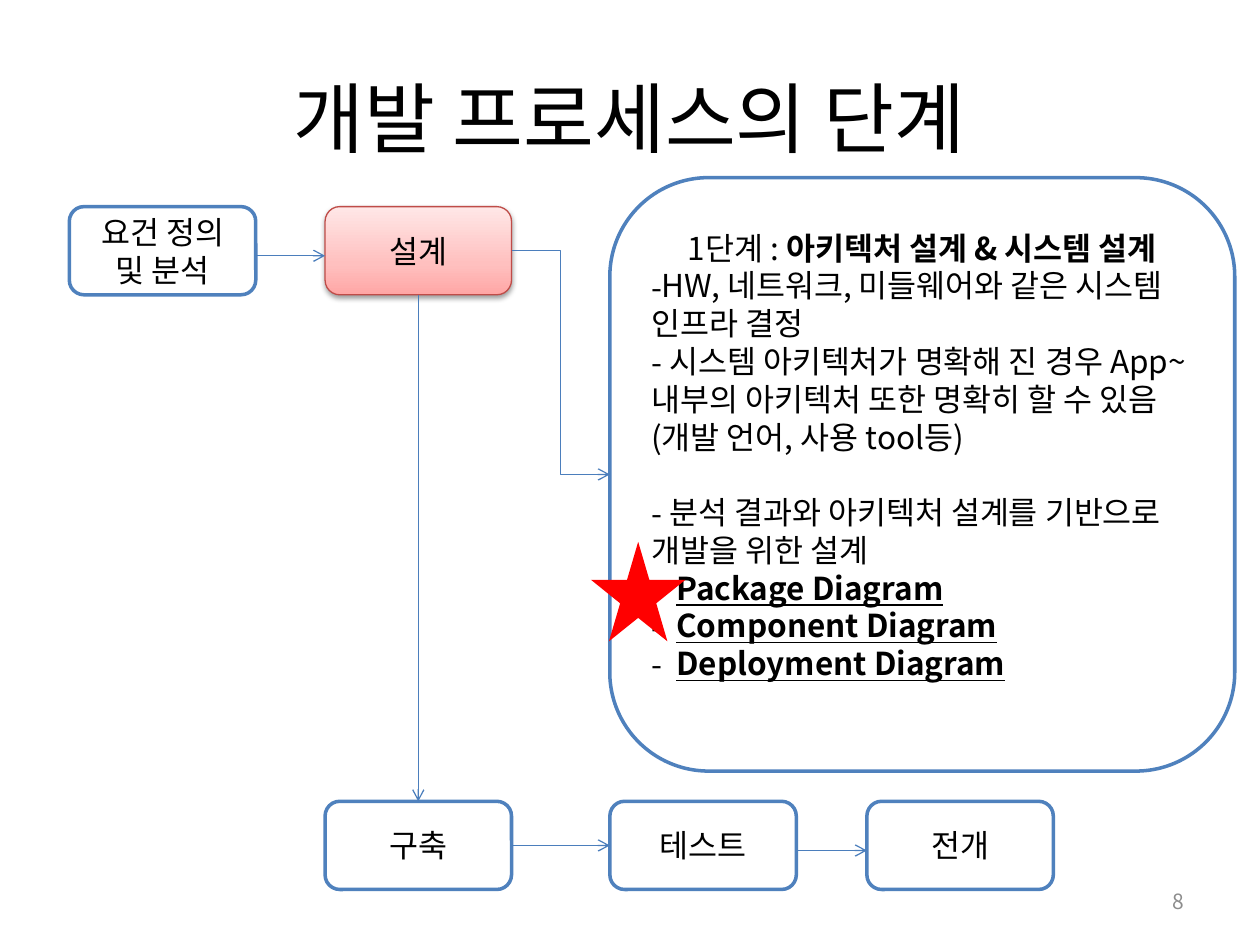
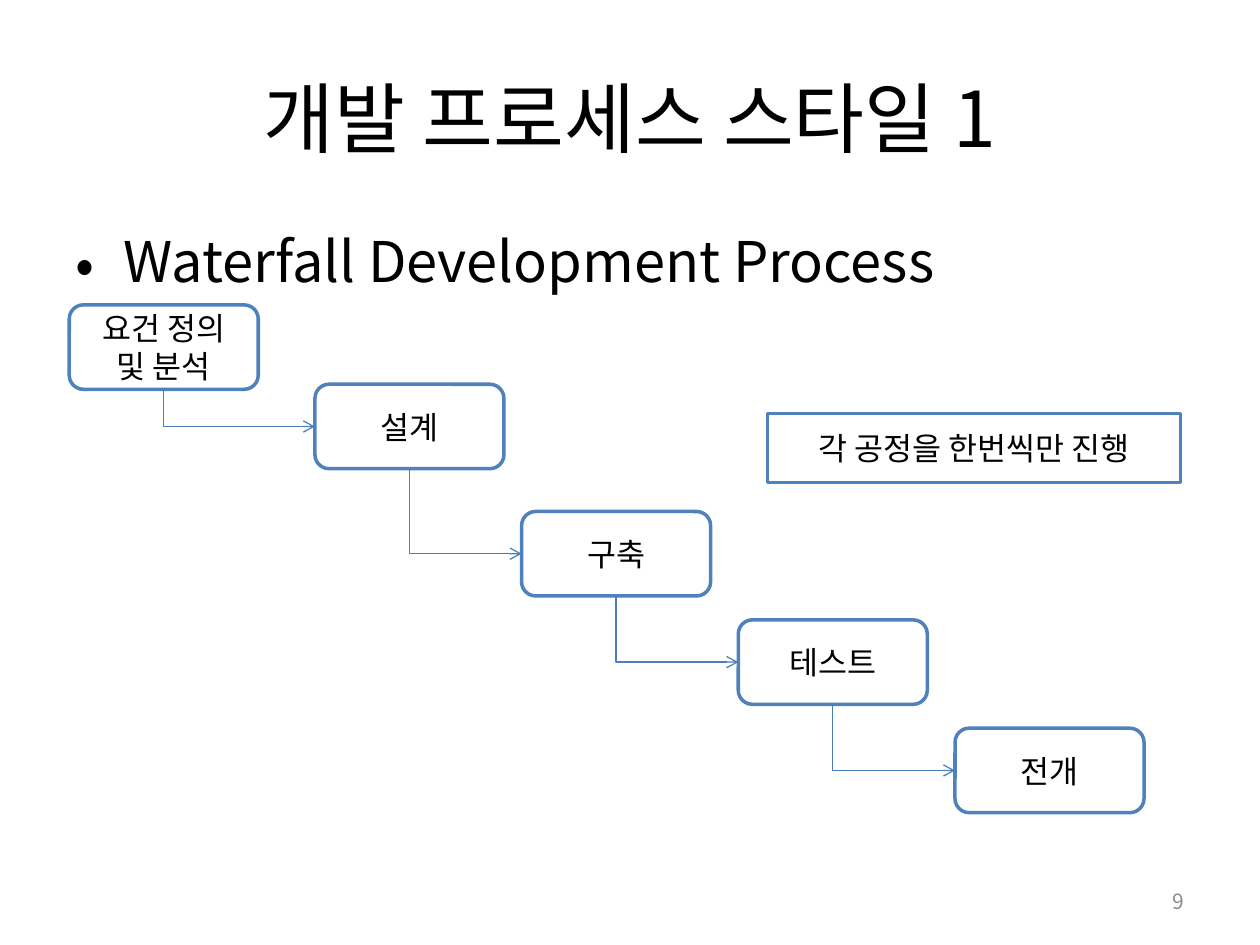
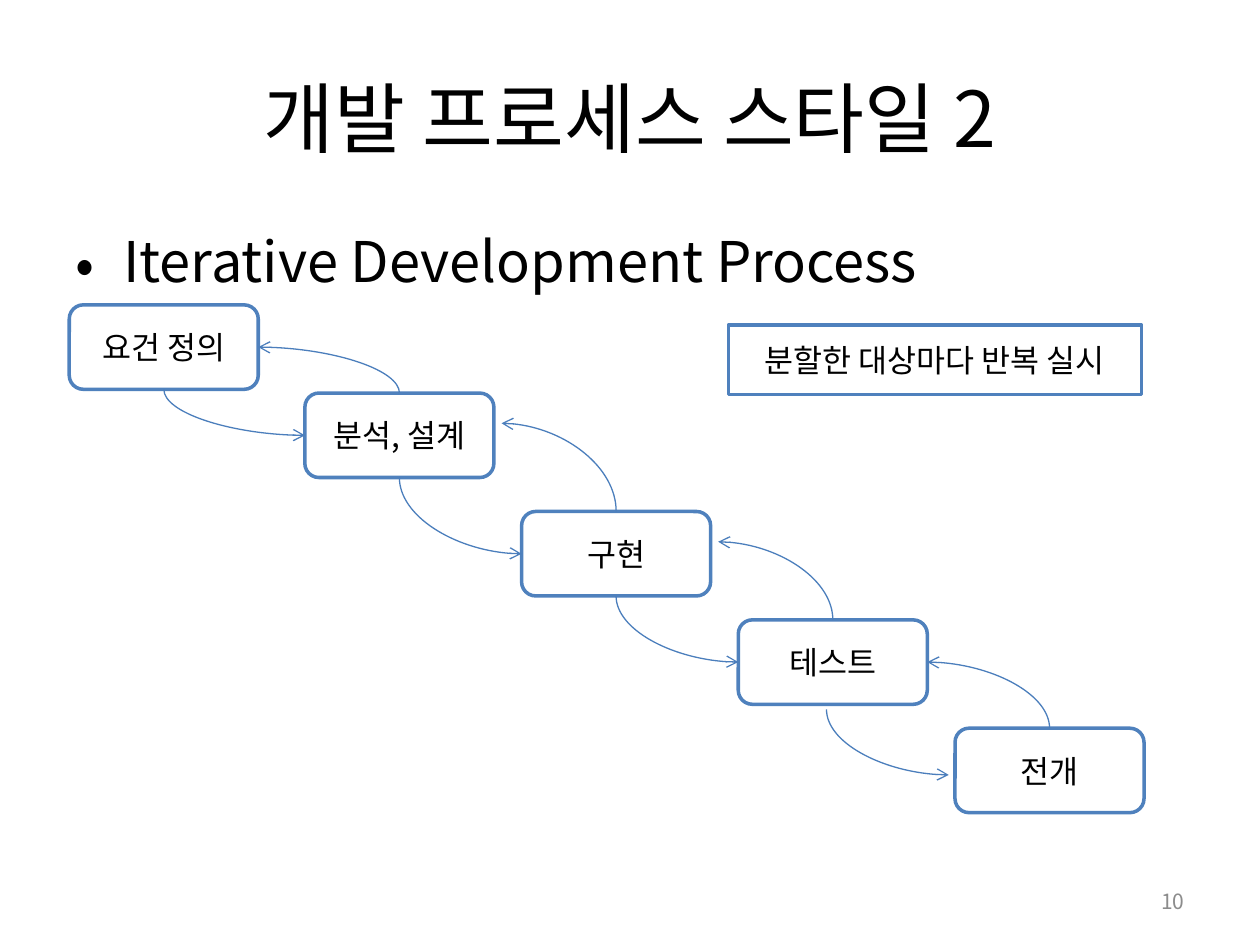
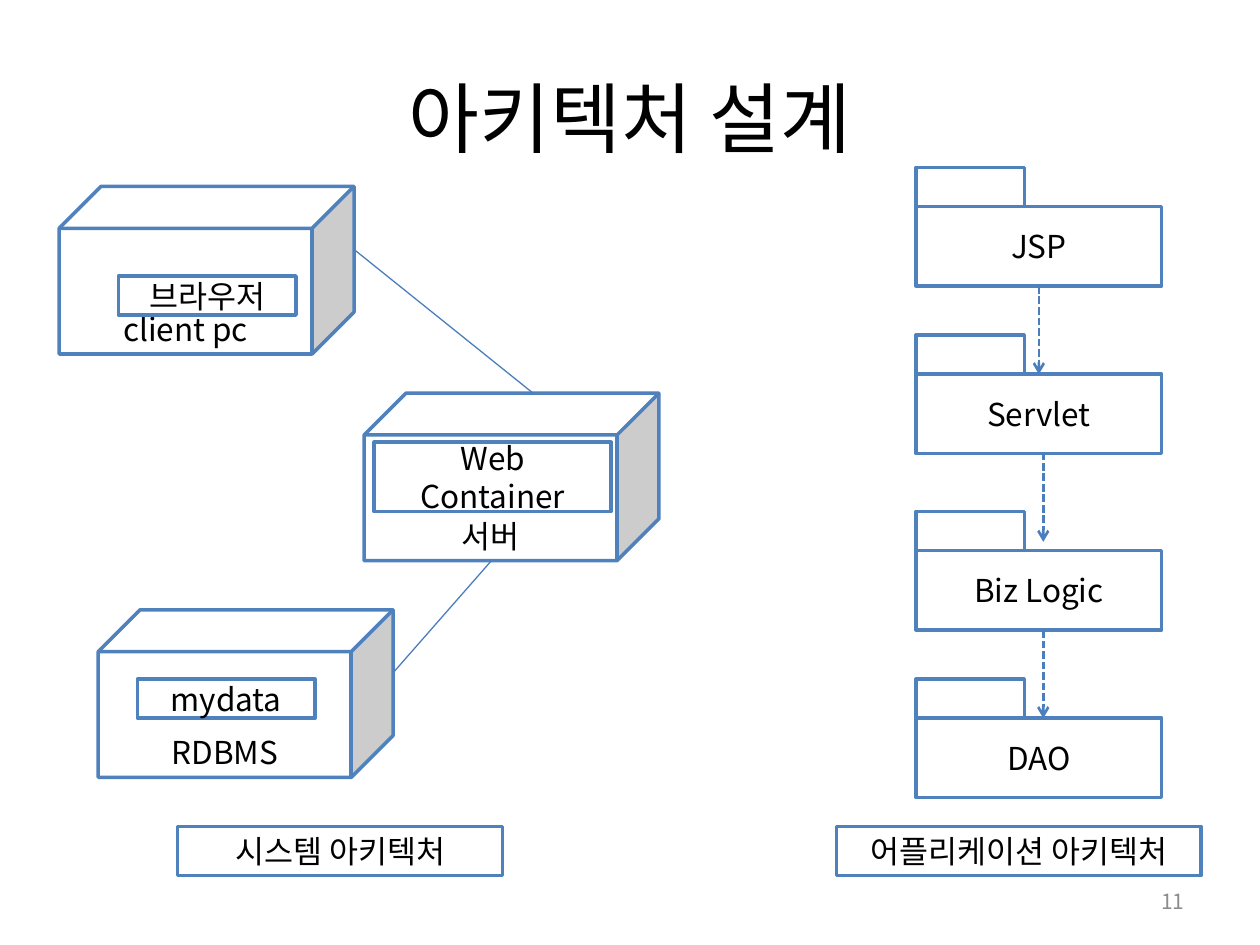
import pptx
import pptx.util
import pptx.dml.color
import pptx.enum.dml
import pptx.enum.shapes
import pptx.enum.text
import pptx.oxml.ns
from lxml import etree

Inches = pptx.util.Inches
Pt = pptx.util.Pt
qn = pptx.oxml.ns.qn
SHAPE = pptx.enum.shapes.MSO_SHAPE
CONNECTOR = pptx.enum.shapes.MSO_CONNECTOR
ALIGN = pptx.enum.text.PP_ALIGN
ANCHOR = pptx.enum.text.MSO_ANCHOR
TOP, LEFT, BOTTOM, RIGHT = range(4)

# Shared look
FONT = "Noto Sans CJK KR"
COLORS = {"text": "000000", "number": "8C8C8C", "box": "FFFFFF", "border": "4F81BD",
          "arrow": "4B7EBC", "star": "FF0000", "active": "BF4C48", "shadow": "000000"}
ACTIVE_GRADIENT = [(0, "FFA6A5"), (35, "FFC0BF"), (100, "FFE7E7")]
TITLE_BOX = (0.5, 0.3, 9, 1.25)
BODY_BOX = (0.5, 1.75, 9, 4.95)
NUMBER_BOX = (7.17, 6.95, 2.33, 0.4)
FIRST_NUMBER = 8

# Slide 1: phases of the process
PHASE_SIZE = (1.48, 0.7)
PHASES = [
    ("요건 정의 및 분석", 0.55, 1.64),
    ("설계", 2.58, 1.64),
    ("구축", 2.58, 6.36),
    ("테스트", 4.84, 6.36),
    ("전개", 6.88, 6.36),
]
PANEL_BOX = (4.84, 1.41, 4.96, 4.71)
STAR_BOX = (4.69, 4.3, 0.75, 0.79)
PANEL_HEADING = ("1단계 : ", "아키텍처 설계 & 시스템 설계")
PANEL_POINTS = [  # text, space before in points
    ("HW, 네트워크, 미들웨어와 같은 시스템 인프라 결정", 0),
    (" 시스템 아키텍처가 명확해 진 경우 App~ 내부의 아키텍처 또한 명확히 할 수 "
     "있음(개발 언어, 사용 tool등)", 0),
    (" 분석 결과와 아키텍처 설계를 기반으로 개발을 위한 설계", 21.5),
]
PANEL_DIAGRAMS = ["Package Diagram", "Component Diagram", "Deployment Diagram"]

# Slides 2 and 3: process styles
STEP_SIZE = (1.5, 0.67)
NOTE_SIZE = (3.28, 0.55)
WATERFALL = {
    "title": "개발 프로세스 스타일 1",
    "body": "Waterfall Development Process",
    "steps": [("요건 정의 및 분석", 0.55, 2.42), ("설계", 2.5, 3.05), ("구축", 4.14, 4.06),
              ("테스트", 5.86, 4.92), ("전개", 7.58, 5.78)],
    "note": ("각 공정을 한번씩만 진행", 6.09, 3.28),
}
ITERATIVE = {
    "title": "개발 프로세스 스타일 2",
    "body": "Iterative Development Process",
    "steps": [("요건 정의", 0.55, 2.42), ("분석, 설계", 2.42, 3.12), ("구현", 4.14, 4.06),
              ("테스트", 5.86, 4.92), ("전개", 7.58, 5.78)],
    "note": ("분할한 대상마다 반복 실시", 5.78, 2.58),
}
# Ends of curves that stop short of a box, by step index
LOOSE_FORWARD = {3: ((6.56, 5.63), (7.53, 6.15))}
LOOSE_BACK = {1: (3.98, 3.36), 2: (5.7, 4.3)}

# Slide 4: architecture
NODE_SIZE = (2.34, 1.33)
NODES = [  # label, left, top, component, component box
    ("client pc", 0.47, 1.48, "브라우저", (0.94, 2.19, 1.41, 0.31)),
    ("서버", 2.89, 3.12, "Web Container", (2.97, 3.51, 1.88, 0.55)),
    ("RDBMS", 0.78, 4.84, "mydata", (1.09, 5.39, 1.41, 0.31)),
]
NODE_LINKS = [((2.81, 1.98), (4.23, 3.12)), ((3.9, 4.45), (3.12, 5.34))]
PACKAGE_LEFT = 7.27
PACKAGE_SIZE = (1.95, 0.63)
TAB_SIZE = (0.86, 0.31)
PACKAGES = [("JSP", 1.33), ("Servlet", 2.66), ("Biz Logic", 4.06), ("DAO", 5.39)]
LOOSE_CALLS = [((8.28, 3.59), (8.28, 4.3)), ((8.28, 5), (8.28, 5.7))]
CAPTIONS = [("시스템 아키텍처", (1.41, 6.56, 2.58, 0.39)),
            ("어플리케이션 아키텍처", (6.64, 6.56, 2.89, 0.39))]


# Drawing helpers
def rgb(name):
    return pptx.dml.color.RGBColor.from_string(COLORS[name])


def add_xml(parent, tag, **attributes):
    return etree.SubElement(parent, qn(tag), {key: str(value) for key, value in attributes.items()})


def write(shape, text, size=18, color="text", bold=False, underline=False, align=ALIGN.CENTER,
          anchor=ANCHOR.MIDDLE, bullet=None, indent=0, before=0, before_percent=0,
          same_line=False):
    """Add a paragraph, or with same_line a further run, to the shape's text."""
    frame = shape.text_frame
    frame.word_wrap = True
    frame.vertical_anchor = anchor
    paragraph = frame.paragraphs[-1]
    if paragraph.runs and not same_line:
        paragraph = frame.add_paragraph()
    if not same_line:
        paragraph.alignment = align
        properties = paragraph._p.get_or_add_pPr()
        if before:
            paragraph.space_before = Pt(before)
        if before_percent:
            add_xml(add_xml(properties, "a:spcBef"), "a:spcPct", val=before_percent * 1000)
        if bullet:
            properties.set("marL", str(Inches(indent)))
            properties.set("indent", str(-Inches(indent)))
            add_xml(properties, "a:buFont", typeface=FONT)
            add_xml(properties, "a:buChar", char=bullet)
    run = paragraph.add_run()
    run.text = text
    run.font.size = Pt(size)
    run.font.bold = bold
    run.font.underline = underline
    run.font.color.rgb = rgb(color)
    run.font.name = FONT
    add_xml(run._r.get_or_add_rPr(), "a:ea", typeface=FONT)


def add_text(slide, box, text, **text_format):
    write(slide.shapes.add_textbox(*map(Inches, box)), text, **text_format)


def add_box(slide, kind, box, text=None, fill="box", line="border", width=2, **text_format):
    shape = slide.shapes.add_shape(kind, *map(Inches, box))
    shape.shadow.inherit = False
    shape.fill.solid()
    shape.fill.fore_color.rgb = rgb(fill)
    if line:
        shape.line.color.rgb = rgb(line)
        shape.line.width = Pt(width)
    else:
        shape.line.fill.background()
    if text:
        write(shape, text, **text_format)
    return shape


def add_boxes(slide, items, size):
    return [add_box(slide, SHAPE.ROUNDED_RECTANGLE, (left, top, *size), text)
            for text, left, top in items]


def highlight(shape):
    """Give the current phase its gradient and shadow."""
    shape.fill.gradient()
    shape.fill.gradient_angle = 90
    properties = shape._element.spPr
    stops = properties.find(qn("a:gradFill")).find(qn("a:gsLst"))
    for stop in list(stops):
        stops.remove(stop)
    for position, color in ACTIVE_GRADIENT:
        add_xml(add_xml(stops, "a:gs", pos=position * 1000), "a:srgbClr", val=color)
    shadow = add_xml(properties.find(qn("a:effectLst")), "a:outerShdw", blurRad=Pt(3.1),
                     dist=Pt(1.6), dir=5400000, rotWithShape=0)
    add_xml(add_xml(shadow, "a:srgbClr", val=COLORS["shadow"]), "a:alpha", val=38000)


def locate(end):
    """Position of an end, given as (x, y) in inches or as (shape, side)."""
    if isinstance(end[0], (int, float)):
        return Inches(end[0]), Inches(end[1])
    shape, side = end
    across = {LEFT: 0, RIGHT: 2}.get(side, 1)
    down = {TOP: 0, BOTTOM: 2}.get(side, 1)
    return shape.left + shape.width * across // 2, shape.top + shape.height * down // 2


def connect(slide, start, end, kind=CONNECTOR.STRAIGHT, arrow=True, width=0.75, dash=None):
    connector = slide.shapes.add_connector(kind, *locate(start), *locate(end))
    for target, join in ((start, connector.begin_connect), (end, connector.end_connect)):
        if not isinstance(target[0], (int, float)):
            join(*target)
    connector.line.color.rgb = rgb("arrow")
    connector.line.width = Pt(width)
    if dash:
        connector.line.dash_style = dash
    if arrow:
        add_xml(connector.line._get_or_add_ln(), "a:tailEnd", type="arrow")
    add_xml(connector._element.spPr, "a:effectLst")
    return connector


def connect_corner(slide, start, end, kind, preset):
    """A connector with one corner that leaves vertically and arrives horizontally."""
    connector = connect(slide, start, end, kind)
    (start_x, start_y), (end_x, end_y) = locate(start), locate(end)
    width, height = abs(end_y - start_y), abs(end_x - start_x)
    connector.left = (start_x + end_x - width) // 2
    connector.top = (start_y + end_y - height) // 2
    connector.width, connector.height = width, height
    properties = connector._element.spPr
    properties.find(qn("a:prstGeom")).set("prst", preset)
    frame = properties.find(qn("a:xfrm"))
    frame.set("rot", "16200000")
    downward = end_y > start_y
    frame.set("flipH", str(int(downward)))
    frame.set("flipV", str(int(not downward)))


# Slides
def add_slide(presentation, title):
    slide = presentation.slides.add_slide(presentation.slide_layouts[6])
    add_text(slide, TITLE_BOX, title, size=44)
    number = FIRST_NUMBER + len(presentation.slides) - 1
    add_text(slide, NUMBER_BOX, str(number), size=12, color="number", align=ALIGN.RIGHT)
    return slide


def add_phases_slide(presentation):
    slide = add_slide(presentation, "개발 프로세스의 단계")
    analysis, design, build, test, rollout = add_boxes(slide, PHASES, PHASE_SIZE)
    highlight(design)
    design.line.color.rgb = rgb("active")
    design.line.width = Pt(0.75)

    connect(slide, (2.03, 2.03), (2.58, 2.03))
    connect(slide, (build, RIGHT), (test, LEFT))
    connect(slide, (6.33, 6.75), (6.88, 6.75))
    connect(slide, (design, BOTTOM), (build, TOP))

    panel = add_box(slide, SHAPE.ROUNDED_RECTANGLE, PANEL_BOX, PANEL_HEADING[0])
    panel.text_frame.margin_bottom = Inches(0.35)
    write(panel, PANEL_HEADING[1], bold=True, same_line=True)
    for text, before in PANEL_POINTS:
        write(panel, text, align=ALIGN.LEFT, bullet="-", before=before)
    for text in PANEL_DIAGRAMS:
        write(panel, text, align=ALIGN.LEFT, bullet="-", indent=0.2, bold=True, underline=True)
    connect(slide, (design, RIGHT), (panel, LEFT), CONNECTOR.ELBOW)
    add_box(slide, SHAPE.STAR_5_POINT, STAR_BOX, fill="star", line=None)


def add_style_slide(presentation, content):
    slide = add_slide(presentation, content["title"])
    add_text(slide, BODY_BOX, content["body"], size=32, align=ALIGN.LEFT, anchor=ANCHOR.TOP,
             bullet="•", indent=0.38, before_percent=20)
    steps = add_boxes(slide, content["steps"], STEP_SIZE)
    note, left, top = content["note"]
    add_box(slide, SHAPE.RECTANGLE, (left, top, *NOTE_SIZE), note)
    return slide, steps


def add_waterfall_slide(presentation):
    slide, steps = add_style_slide(presentation, WATERFALL)
    for step, following in zip(steps, steps[1:]):
        connect_corner(slide, (step, BOTTOM), (following, LEFT),
                       CONNECTOR.ELBOW, "bentConnector2")


def add_iterative_slide(presentation):
    slide, steps = add_style_slide(presentation, ITERATIVE)
    for index, (step, following) in enumerate(zip(steps, steps[1:])):
        forward = LOOSE_FORWARD.get(index, ((step, BOTTOM), (following, LEFT)))
        back = ((following, TOP), LOOSE_BACK.get(index, (step, RIGHT)))
        for start, end in (forward, back):
            connect_corner(slide, start, end, CONNECTOR.CURVE, "curvedConnector2")


def add_architecture_slide(presentation):
    slide = add_slide(presentation, "아키텍처 설계")
    for label, left, top, component, component_box in NODES:
        add_box(slide, SHAPE.CUBE, (left, top, *NODE_SIZE), label, anchor=ANCHOR.BOTTOM)
        add_box(slide, SHAPE.RECTANGLE, component_box, component)
    for start, end in NODE_LINKS:
        connect(slide, start, end, arrow=False)

    packages = []
    for name, top in PACKAGES:
        body_box = (PACKAGE_LEFT, top + TAB_SIZE[1], *PACKAGE_SIZE)
        packages.append(add_box(slide, SHAPE.RECTANGLE, body_box, name))
        add_box(slide, SHAPE.RECTANGLE, (PACKAGE_LEFT, top, *TAB_SIZE))
    calls = [((packages[0], BOTTOM), (packages[1], TOP)), *LOOSE_CALLS]
    for start, end in calls:
        connect(slide, start, end, width=1.5, dash=pptx.enum.dml.MSO_LINE.SQUARE_DOT)
    for caption, box in CAPTIONS:
        add_box(slide, SHAPE.RECTANGLE, box, caption)


def main():
    presentation = pptx.Presentation()
    presentation.slide_width = Inches(10)
    presentation.slide_height = Inches(7.5)
    add_phases_slide(presentation)
    add_waterfall_slide(presentation)
    add_iterative_slide(presentation)
    add_architecture_slide(presentation)
    presentation.save("out.pptx")


if __name__ == "__main__":
    main()
